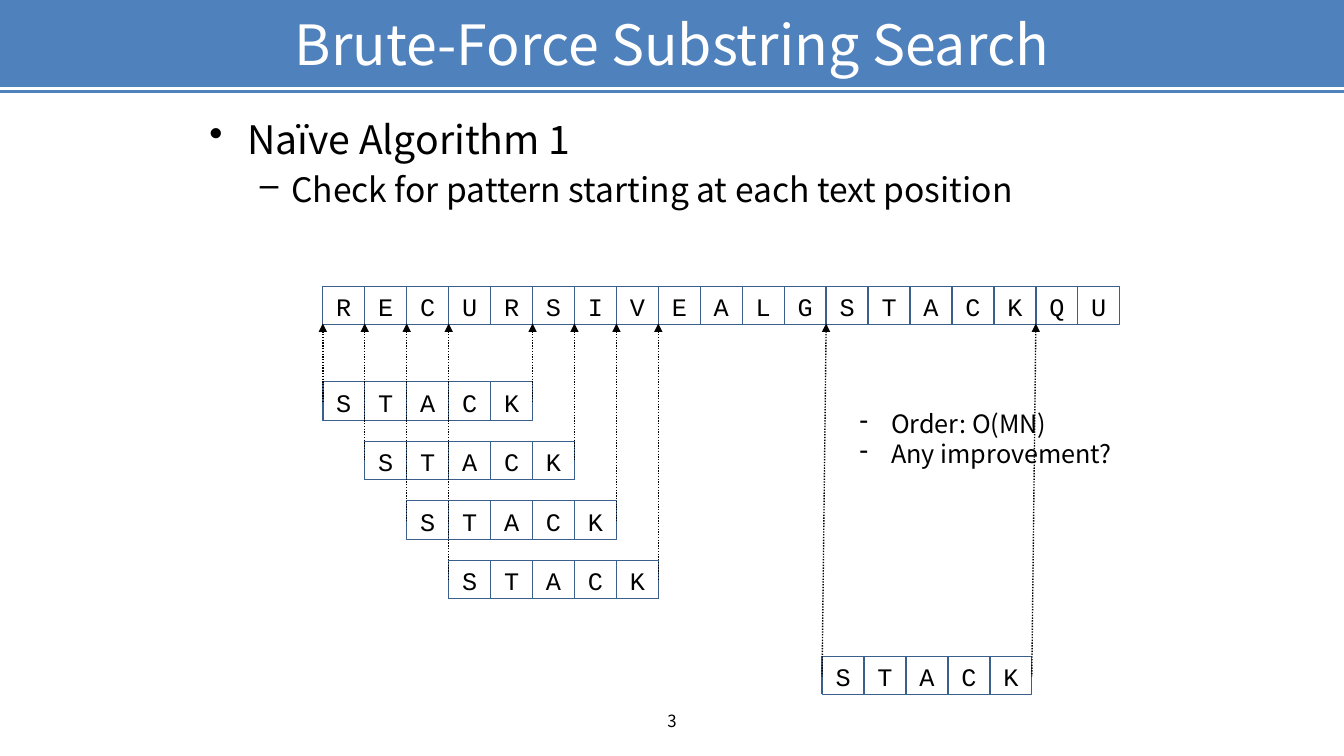
from lxml import etree
from pptx import Presentation
from pptx import util as u
from pptx.dml.color import RGBColor
from pptx.enum import dml, shapes, text
from pptx.oxml.ns import qn

Pt = u.Pt
rgb = RGBColor.from_string
BLUE, CELL_BLUE, BLACK, WHITE = "4F81BD", "3A5F8C", "000000", "FFFFFF"
SANS, MONO = "Noto Sans CJK KR", "Courier New"

deck = Presentation()
deck.slide_width, deck.slide_height = Pt(960), Pt(540)
slide = deck.slides.add_slide(deck.slide_layouts[6])


def write(frame, lines, color=BLACK, font=SANS, align=text.PP_ALIGN.LEFT,
          anchor=text.MSO_ANCHOR.TOP):
    """Fill a frame; each line is (words, size, bullet, indent, hang, space before)."""
    frame.word_wrap = True
    frame.vertical_anchor = anchor
    for index, (words, size, bullet, indent, hang, before) in enumerate(lines):
        paragraph = frame.add_paragraph() if index else frame.paragraphs[0]
        paragraph.alignment = align
        paragraph.space_before = Pt(before)
        run = paragraph.add_run()
        run.text = words
        for key, value in {"size": Pt(size), "name": font}.items():
            setattr(run.font, key, value)
        run.font.color.rgb = rgb(color)
        if bullet:
            properties = paragraph._p.get_or_add_pPr()
            properties.set("marL", str(Pt(indent)))
            properties.set("indent", str(Pt(-hang)))
            etree.SubElement(properties, qn("a:buChar")).set("char", bullet)


def connect(x1, y1, x2, y2, color, width, arrow=False):
    """Draw a line; an arrow is dotted and has its head at the first point."""
    line = slide.shapes.add_connector(
        shapes.MSO_CONNECTOR.STRAIGHT, Pt(x1), Pt(y1), Pt(x2), Pt(y2))
    line.line.color.rgb = rgb(color)
    line.line.width = Pt(width)
    if arrow:
        line.line.dash_style = dml.MSO_LINE.ROUND_DOT
        etree.SubElement(line.line._get_or_add_ln(), qn("a:headEnd")).set("type", "triangle")
    etree.SubElement(line._element.spPr, qn("a:effectLst"))


# Title band
band = slide.shapes.add_shape(shapes.MSO_SHAPE.RECTANGLE, 0, 0, Pt(960), Pt(62))
band.shadow.inherit = False
band.fill.solid()
band.fill.fore_color.rgb = rgb(BLUE)
band.line.fill.background()
connect(0, 65.5, 960, 65.5, BLUE, 2.25)

# Title, outline and page number
centred = {"align": text.PP_ALIGN.CENTER, "anchor": text.MSO_ANCHOR.MIDDLE}
outline = [
    ("Naïve Algorithm 1", 28, "•", 27, 27, 5.6),
    ("Check for pattern starting at each text position", 24, "–", 58.5, 22.5, 4.8),
]
for place, lines, style in [
    ((142.5, 5.8, 675, 50.4), [("Brute-Force Substring Search", 39.6, "", 0, 0, 0)],
     {"color": WHITE, **centred}),
    ((142.5, 78.5, 675, 416), outline, {}),
    ((368, 500.4, 224, 28.8), [("3", 12, "", 0, 0, 0)], centred),
]:
    box = slide.shapes.add_textbox(*map(Pt, place))
    write(box.text_frame, lines, **style)

# Searched text, then the pattern at each tried position
CELL_W, CELL_H = 29.96, 27.4
TEXT_LEFT, TEXT_TOP = 230.6, 204.4
TEXT_BOTTOM = TEXT_TOP + CELL_H
SEARCHED, PATTERN = "RECURSIVEALGSTACKQU", "STACK"

rows = [(SEARCHED, 0, TEXT_TOP, 0)]
rows += [(PATTERN, start, 272.8 + 42.5 * start, 0) for start in range(4)]
rows.append((PATTERN, SEARCHED.index(PATTERN), 468.6, -2.9))

for letters, start, top, shift in rows:
    left = TEXT_LEFT + start * CELL_W + shift
    for index, letter in enumerate(letters):
        cell = slide.shapes.add_shape(
            shapes.MSO_SHAPE.RECTANGLE, Pt(left + index * CELL_W), Pt(top),
            Pt(CELL_W), Pt(CELL_H))
        cell.shadow.inherit = False
        cell.fill.background()
        cell.line.color.rgb = rgb(CELL_BLUE)
        cell.line.width = Pt(0.75)
        write(cell.text_frame, [(letter, 18, "", 0, 0, 0)], font=MONO,
              align=text.PP_ALIGN.CENTER)

    is_pattern = letters == PATTERN
    edges = range(len(letters) + 1) if is_pattern else range(1, len(letters))
    for edge in edges:
        x = left + edge * CELL_W
        connect(x, top, x, top + CELL_H, CELL_BLUE, 1)
    if is_pattern:
        for edge in (0, len(letters)):
            x = left + edge * CELL_W
            connect(x - shift, TEXT_BOTTOM - 0.7, x, top + 14.5, BLACK, 1, arrow=True)

# Cost remark
remark = slide.shapes.add_textbox(Pt(607), Pt(288), Pt(211), Pt(51))
write(remark.text_frame, [
    (words, 18, "-", 22.5, 22.5, 0) for words in ("Order: O(MN)", "Any improvement?")])

deck.save("out.pptx")
